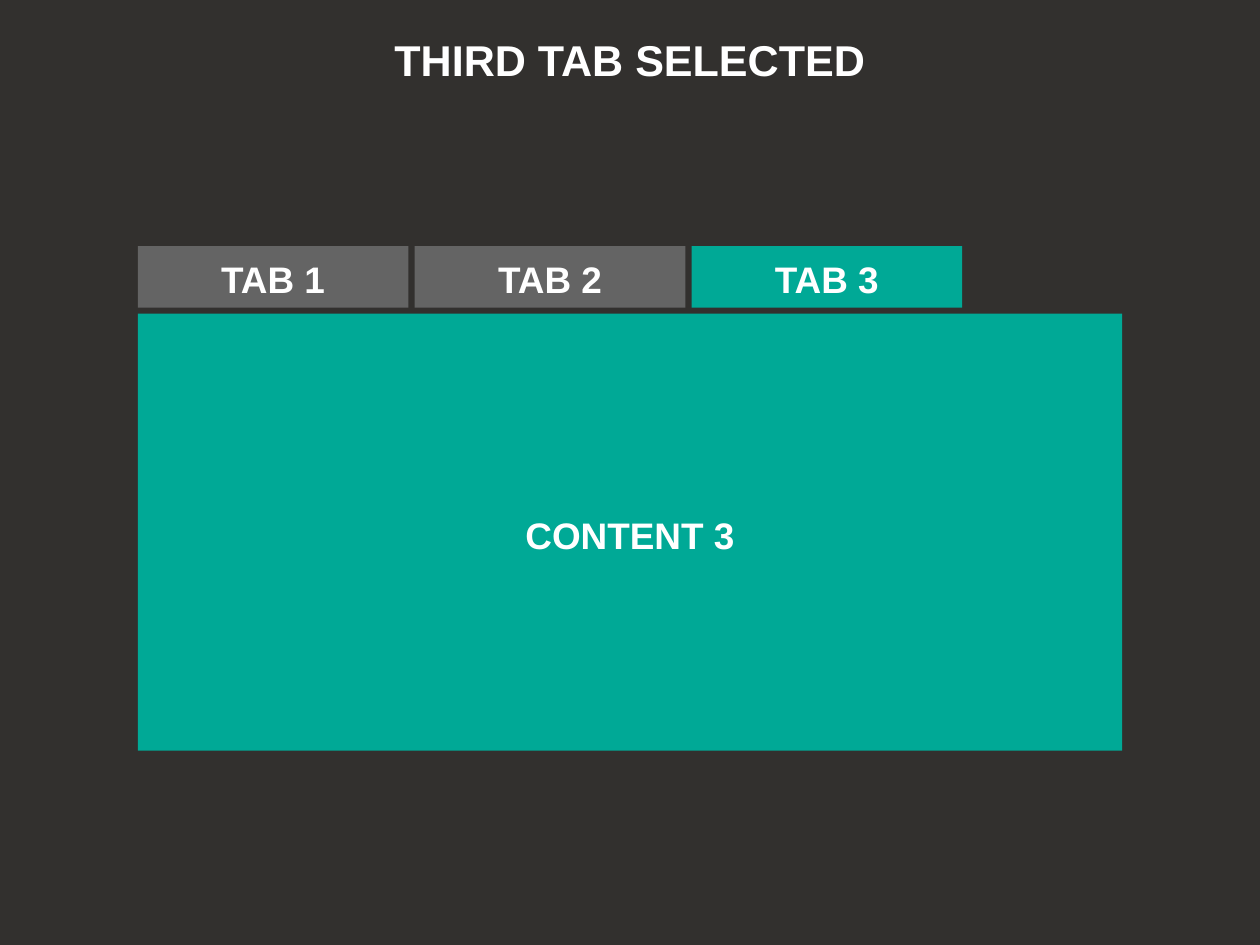
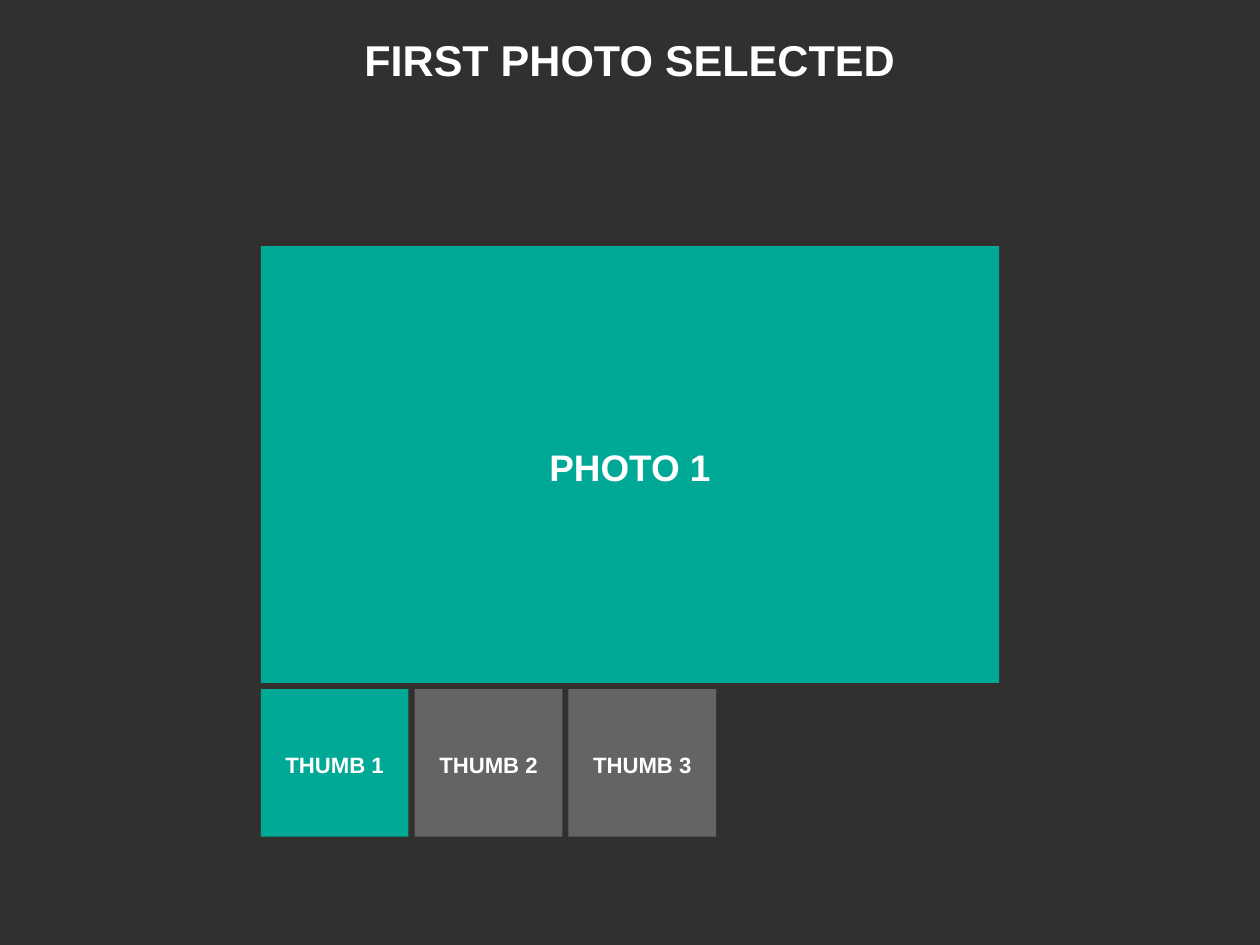
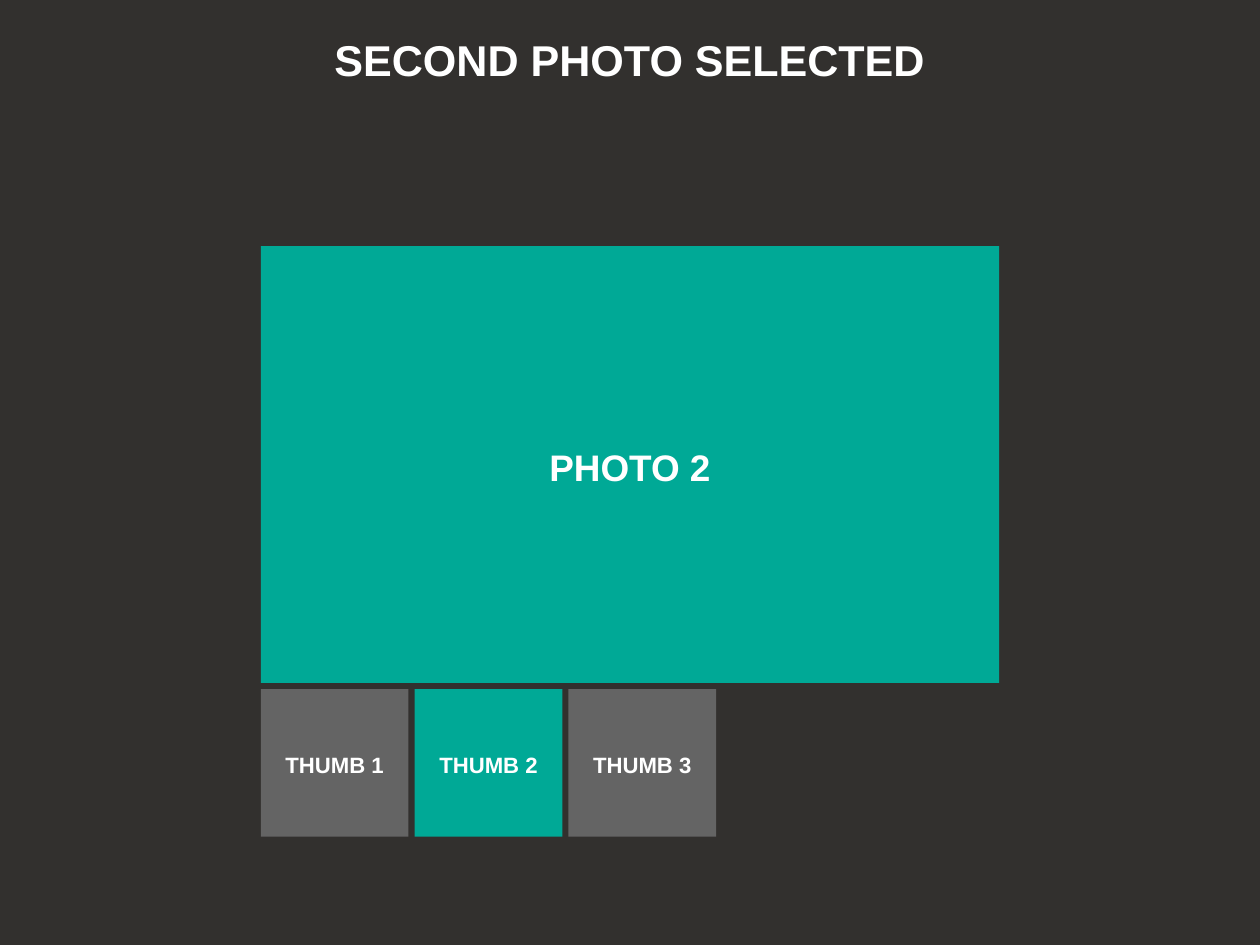
from dataclasses import dataclass

from pptx import Presentation
from pptx.dml.color import RGBColor
from pptx.enum.shapes import MSO_SHAPE
from pptx.enum.text import MSO_ANCHOR, PP_ALIGN

EMU_PER_PX = 12700
SLIDE_WIDTH, SLIDE_HEIGHT = 1024, 768
MARGIN = 100
CONTENT_TOP = 200
GAP = 5
PANEL_HEIGHT = 355
TAB_WIDTH, TAB_HEIGHT = 220, 50
TAB_PANEL_WIDTH = 800
PHOTO_WIDTH = 600
THUMB_SIZE = 120
CHOICES = 3


@dataclass(frozen=True)
class Theme:
    background: RGBColor = RGBColor(0x32, 0x30, 0x2E)
    selected: RGBColor = RGBColor(0x00, 0xA9, 0x96)
    idle: RGBColor = RGBColor(0x64, 0x64, 0x64)
    text: RGBColor = RGBColor(0xFF, 0xFF, 0xFF)
    font: str = "Arial"
    title_size: int = 35
    label_size: int = 30
    thumb_size: int = 18
    line_spacing: float = 1.1


THEME = Theme()


def px(length):
    return length * EMU_PER_PX


def write_text(shape, text, size, anchor, inset=0):
    """Put one centred bold line in a shape."""
    frame = shape.text_frame
    frame.word_wrap = True
    frame.vertical_anchor = anchor
    frame.margin_left = frame.margin_right = px(inset)
    frame.margin_top = frame.margin_bottom = px(inset)
    paragraph = frame.paragraphs[0]
    paragraph.text = text
    paragraph.alignment = PP_ALIGN.CENTER
    paragraph.line_spacing = THEME.line_spacing
    font = paragraph.font
    font.name = THEME.font
    font.size = px(size)
    font.bold = True
    font.color.rgb = THEME.text


def add_titled_slide(presentation, title):
    slide = presentation.slides.add_slide(presentation.slide_layouts[6])
    title_box = slide.shapes.add_textbox(0, 0, px(SLIDE_WIDTH), px(SLIDE_HEIGHT))
    write_text(title_box, title, THEME.title_size, MSO_ANCHOR.TOP, MARGIN)
    return slide


def add_block(slide, left, top, width, height, text, fill, size=THEME.label_size):
    block = slide.shapes.add_shape(
        MSO_SHAPE.RECTANGLE, px(left), px(top), px(width), px(height)
    )
    block.shadow.inherit = False
    block.fill.solid()
    block.fill.fore_color.rgb = fill
    block.line.fill.background()
    write_text(block, text, size, MSO_ANCHOR.MIDDLE)


def add_choice_row(slide, left, top, width, height, word, selected, size):
    """Add equally spaced numbered blocks with one highlighted."""
    for index in range(CHOICES):
        number = index + 1
        fill = THEME.selected if number == selected else THEME.idle
        add_block(slide, left + index * (width + GAP), top, width, height,
                  f"{word} {number}", fill, size)


def add_tab_slide(presentation, title, selected):
    slide = add_titled_slide(presentation, title)
    left = (SLIDE_WIDTH - TAB_PANEL_WIDTH) // 2
    add_choice_row(slide, left, CONTENT_TOP, TAB_WIDTH, TAB_HEIGHT,
                   "TAB", selected, THEME.label_size)
    add_block(slide, left, CONTENT_TOP + TAB_HEIGHT + GAP, TAB_PANEL_WIDTH,
              PANEL_HEIGHT, f"CONTENT {selected}", THEME.selected)


def add_photo_slide(presentation, title, selected):
    slide = add_titled_slide(presentation, title)
    left = (SLIDE_WIDTH - PHOTO_WIDTH) // 2
    add_block(slide, left, CONTENT_TOP, PHOTO_WIDTH, PANEL_HEIGHT,
              f"PHOTO {selected}", THEME.selected)
    add_choice_row(slide, left, CONTENT_TOP + PANEL_HEIGHT + GAP, THUMB_SIZE,
                   THUMB_SIZE, "THUMB", selected, THEME.thumb_size)


def main():
    presentation = Presentation()
    presentation.slide_width = px(SLIDE_WIDTH)
    presentation.slide_height = px(SLIDE_HEIGHT)

    # Shared background
    background = presentation.slide_master.background.fill
    background.solid()
    background.fore_color.rgb = THEME.background

    # Slides
    add_tab_slide(presentation, "THIRD TAB SELECTED", 3)
    add_photo_slide(presentation, "FIRST PHOTO SELECTED", 1)
    add_photo_slide(presentation, "SECOND PHOTO SELECTED", 2)

    presentation.save("out.pptx")


if __name__ == "__main__":
    main()
